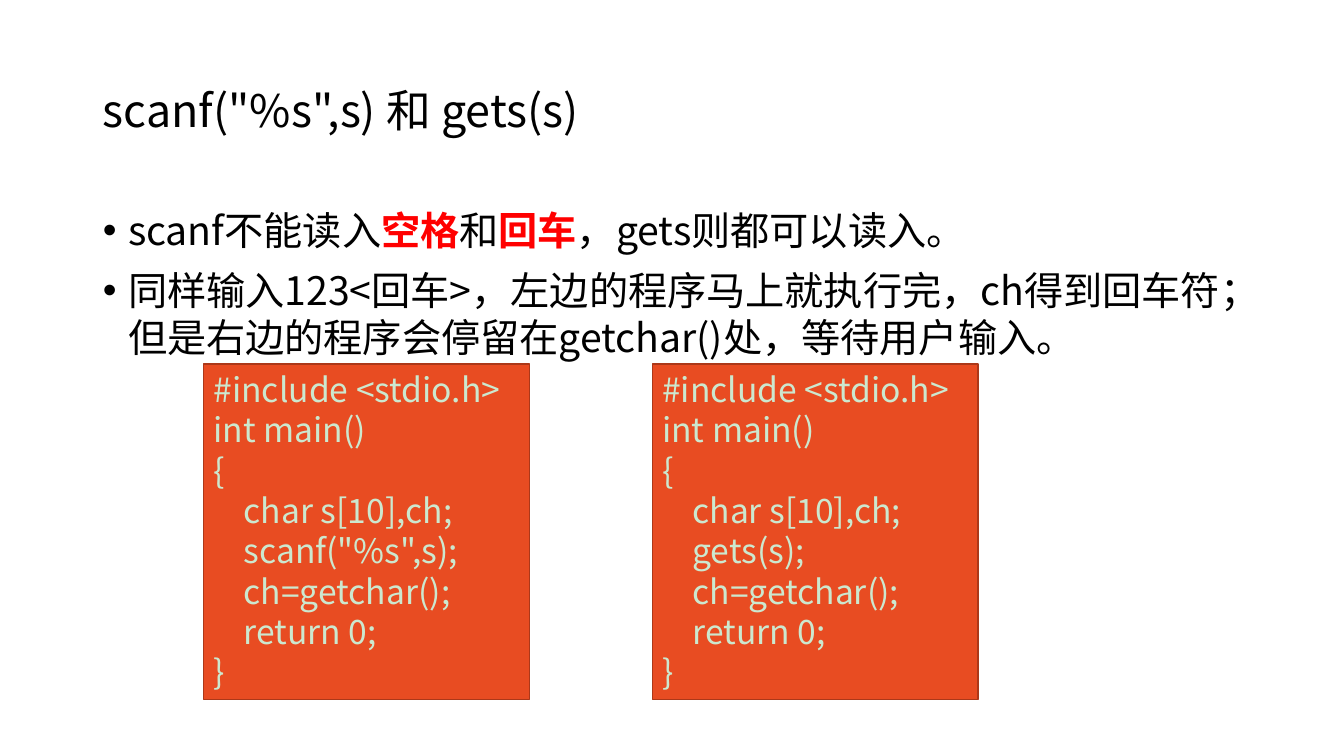
"""Build a slide comparing scanf and gets, with two code listings."""
from dataclasses import dataclass

from lxml import etree
from pptx import Presentation
from pptx import util as u
from pptx.dml.color import RGBColor
from pptx.enum import shapes, text
from pptx.oxml.ns import qn


@dataclass(frozen=True)
class Theme:
    font: str = "Noto Sans CJK SC"
    ink: str = "000000"
    accent: str = "FF0000"
    panel: str = "E84C22"
    panel_edge: str = "AC3819"
    code: str = "CCE8CF"
    title_size: float = 32
    body_size: float = 28
    code_size: float = 24
    body_leading: float = 33.2
    code_leading: float = 28.8


@dataclass(frozen=True)
class Box:
    left: float
    top: float
    width: float
    height: float


@dataclass(frozen=True)
class Span:
    words: str
    strong: bool = False


@dataclass(frozen=True)
class Listing:
    box: Box
    read_call: str


THEME = Theme()
TITLE_BOX = Box(0.92, 0.4, 11.5, 1.45)
BODY_BOX = Box(0.92, 2, 11.5, 4.76)
POINTS = [
    [
        Span("scanf不能读入"),
        Span("空格", True),
        Span("和"),
        Span("回车", True),
        Span("，gets则都可以读入。"),
    ],
    [Span("同样输入123<回车>，左边的程序马上就执行完，ch得到回车符；"
          "但是右边的程序会停留在getchar()处，等待用户输入。")],
]
LISTINGS = [
    Listing(Box(2.02, 3.61, 3.23, 3.33), 'scanf("%s",s);'),
    Listing(Box(6.47, 3.61, 3.23, 3.33), "gets(s);"),
]


def place(item, box: Box) -> None:
    """Move and size an item to its box."""
    item.left, item.top = u.Inches(box.left), u.Inches(box.top)
    item.width, item.height = u.Inches(box.width), u.Inches(box.height)


def add_run(paragraph, words: str, size: float, color: str, bold: bool = False) -> None:
    """Add one run in the theme font."""
    run = paragraph.add_run()
    run.text = words
    run.font.name = THEME.font
    run.font.size = u.Pt(size)
    run.font.bold = bold
    run.font.color.rgb = RGBColor.from_string(color)
    east_asian = etree.SubElement(run.font._element, qn("a:ea"))
    east_asian.set("typeface", THEME.font)


def next_paragraph(frame, index: int):
    """Return the first paragraph, or a new one after it."""
    return frame.add_paragraph() if index else frame.paragraphs[0]


def set_indent(paragraph, margin: float, first: float = 0):
    """Set the left margin and first-line indent, and return the properties."""
    properties = paragraph._p.get_or_add_pPr()
    properties.set("marL", str(u.Inches(margin)))
    properties.set("indent", str(u.Inches(first)))
    return properties


def fill_title(title) -> None:
    """Write the heading."""
    place(title, TITLE_BOX)
    frame = title.text_frame
    frame.auto_size = text.MSO_AUTO_SIZE.NONE
    frame.vertical_anchor = text.MSO_ANCHOR.MIDDLE
    heading = frame.paragraphs[0]
    heading.alignment = text.PP_ALIGN.LEFT
    heading.line_spacing = 0.9
    add_run(heading, 'scanf("%s",s) 和 gets(s)', THEME.title_size, THEME.ink)


def fill_body(body) -> None:
    """Write the bulleted points."""
    place(body, BODY_BOX)
    frame = body.text_frame
    frame.auto_size = text.MSO_AUTO_SIZE.NONE
    for index, spans in enumerate(POINTS):
        point = next_paragraph(frame, index)
        point.line_spacing = u.Pt(THEME.body_leading)
        point.space_before = u.Pt(10)
        properties = set_indent(point, 0.25, -0.25)
        etree.SubElement(properties, qn("a:buFont")).set("typeface", "Arial")
        etree.SubElement(properties, qn("a:buChar")).set("char", "•")
        for span in spans:
            color = THEME.accent if span.strong else THEME.ink
            add_run(point, span.words, THEME.body_size, color, span.strong)


def add_listing(slide, listing: Listing) -> None:
    """Draw a code panel with its program."""
    panel = slide.shapes.add_shape(shapes.MSO_SHAPE.RECTANGLE, 0, 0, 0, 0)
    place(panel, listing.box)
    panel.shadow.inherit = False
    panel.fill.solid()
    panel.fill.fore_color.rgb = RGBColor.from_string(THEME.panel)
    panel.line.color.rgb = RGBColor.from_string(THEME.panel_edge)
    panel.line.width = u.Pt(1)
    frame = panel.text_frame
    frame.word_wrap = False
    frame.vertical_anchor = text.MSO_ANCHOR.TOP
    statements = ["char s[10],ch;", listing.read_call, "ch=getchar();", "return 0;"]
    program = ["#include <stdio.h>", "int main()", "{", *statements, "}"]
    for index, code in enumerate(program):
        line = next_paragraph(frame, index)
        line.alignment = text.PP_ALIGN.LEFT
        line.line_spacing = u.Pt(THEME.code_leading)
        set_indent(line, 0.3 if code in statements else 0)
        add_run(line, code, THEME.code_size, THEME.code)


def main() -> None:
    """Build and save the slide."""
    deck = Presentation()
    deck.slide_width, deck.slide_height = u.Inches(13.33), u.Inches(7.5)
    slide = deck.slides.add_slide(deck.slide_layouts[1])
    fill_title(slide.shapes.title)
    fill_body(slide.placeholders[1])
    for listing in LISTINGS:
        add_listing(slide, listing)
    deck.save("out.pptx")


if __name__ == "__main__":
    main()
